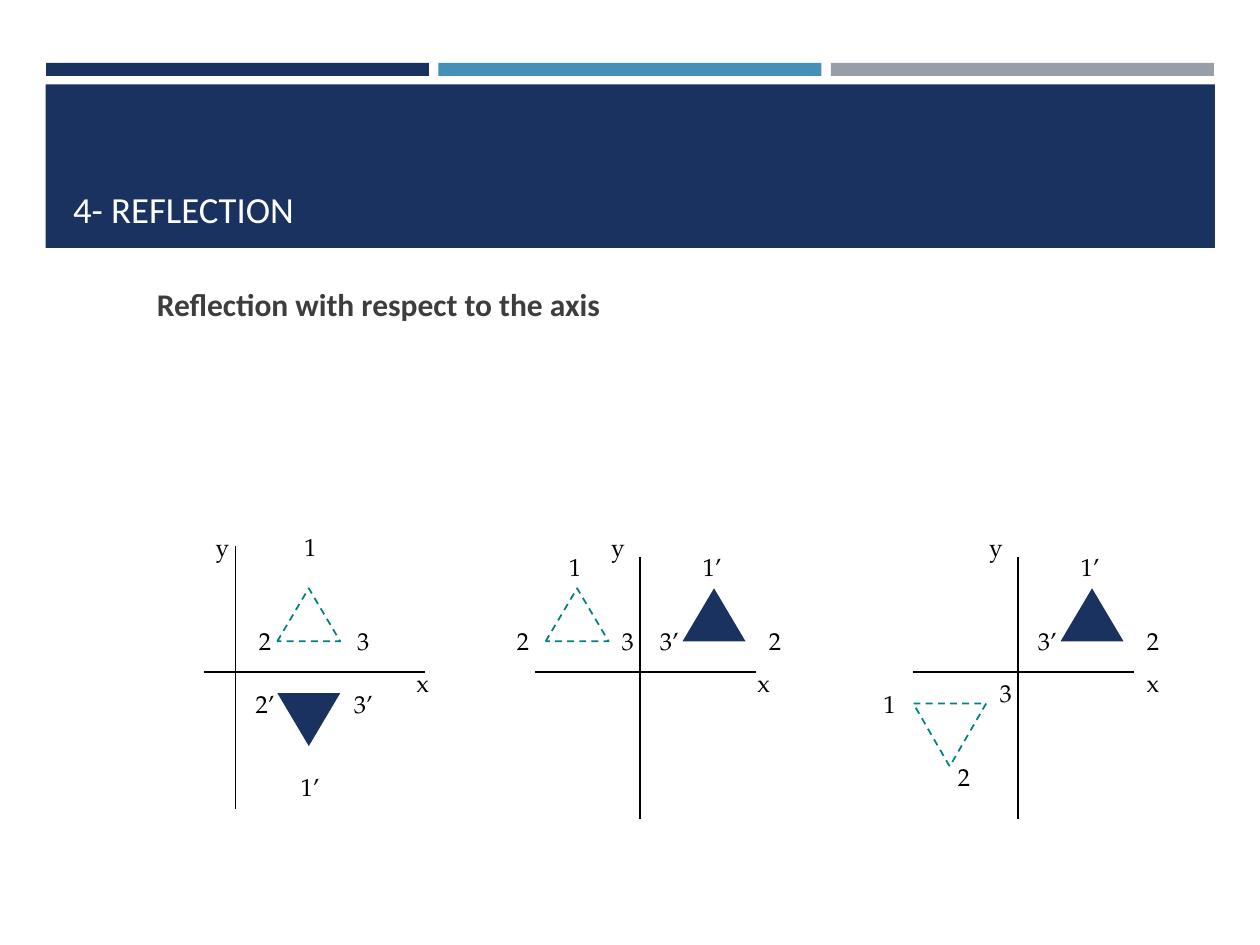
from lxml import etree
from pptx import Presentation
from pptx.dml.color import RGBColor
from pptx.enum.dml import MSO_LINE
from pptx.enum.shapes import MSO_CONNECTOR, MSO_SHAPE
from pptx.enum.text import MSO_ANCHOR, MSO_AUTO_SIZE, PP_ALIGN
from pptx.oxml.ns import qn
from pptx.util import Cm, Pt

NAVY = RGBColor(0x1A, 0x32, 0x60)
BLUE = RGBColor(0x45, 0x90, 0xB8)
GREY = RGBColor(0x96, 0x9F, 0xA7)
TEAL = RGBColor(0x00, 0x80, 0x80)
INK = RGBColor(0x3D, 0x3D, 0x3D)
BLACK = RGBColor(0, 0, 0)
WHITE = RGBColor(0xFF, 0xFF, 0xFF)

X_AXIS_TOP = 13.54
TRIANGLE = (1.27, 1.07)
LARGE_TRIANGLE = (1.47, 1.27)

# Solid triangle and its corner names, shared by the last two diagrams
RIGHT_IMAGE = (0.86, -1.68, TRIANGLE, False)
RIGHT_NAMES = [("1’", 0.86, -2.54), ("3’", 0, -1.04), ("2", 2.13, -1.04)]

# All places are in cm from the point where the two axes cross
DIAGRAMS = [
    # Reflection in the x axis
    dict(cross=4.75, x_span=(-0.64, 3.81), y_span=(-2.54, 2.77),
         before=(0.84, -1.68, TRIANGLE, False),
         after=(0.84, 0.43, TRIANGLE, True),
         names=[("x", 3.18, -0.2), ("y", -0.86, -2.95),
                ("1", 0.91, -2.95), ("3", 1.98, -1.04), ("2", 0, -1.04),
                ("1’", 0.91, 1.9), ("3’", 1.98, 0.23), ("2’", 0, 0.23)]),
    # Reflection in the y axis
    dict(cross=12.9, x_span=(-2.11, 2.34), y_span=(-2.31, 2.97),
         before=(-1.9, -1.68, TRIANGLE, False), after=RIGHT_IMAGE,
         names=[("x", 1.9, -0.2), ("y", -1.04, -2.95),
                ("1", -1.9, -2.54), ("3", -0.84, -1.04),
                ("2", -2.95, -1.04)] + RIGHT_NAMES),
    # Reflection in both axes
    dict(cross=20.52, x_span=(-2.11, 2.34), y_span=(-2.31, 2.97),
         before=(-2.11, 0.64, LARGE_TRIANGLE, True), after=RIGHT_IMAGE,
         names=[("x", 2.13, -0.2), ("y", -1.04, -2.95),
                ("3", -0.84, 0), ("1", -3.18, 0.23),
                ("2", -1.68, 1.7)] + RIGHT_NAMES),
]


def add_block(slide, left, top, width, height, color):
    block = slide.shapes.add_shape(MSO_SHAPE.RECTANGLE, Cm(left), Cm(top),
                                   Cm(width), Cm(height))
    block.shadow.inherit = False
    block.fill.solid()
    block.fill.fore_color.rgb = color
    block.line.fill.background()


def fill_placeholder(slide, holder, text, place, anchor, size, color, bold):
    slide.shapes._spTree.append(holder._element)  # in front of the banner
    holder.left, holder.top, holder.width, holder.height = map(Cm, place)
    frame = holder.text_frame
    frame.text = text
    frame.word_wrap = True
    frame.auto_size = MSO_AUTO_SIZE.NONE
    frame.vertical_anchor = anchor
    line = frame.paragraphs[0]
    properties = line._p.get_or_add_pPr()
    properties.set("marL", "0")
    properties.set("indent", "0")
    etree.SubElement(properties, qn("a:buNone"))
    line.alignment = PP_ALIGN.LEFT
    line.space_before = Pt(0)
    line.font.name = "Calibri"
    line.font.size = Pt(size)
    line.font.bold = bold
    line.font.color.rgb = color
    return frame


def add_axis(slide, x1, y1, x2, y2):
    axis = slide.shapes.add_connector(MSO_CONNECTOR.STRAIGHT,
                                      Cm(x1), Cm(y1), Cm(x2), Cm(y2))
    axis.line.color.rgb = BLACK
    axis.line.width = Pt(1)
    etree.SubElement(axis._element.spPr, qn("a:effectLst"))


def add_triangle(slide, cross, place, solid):
    dx, dy, (width, height), upside_down = place
    triangle = slide.shapes.add_shape(
        MSO_SHAPE.ISOSCELES_TRIANGLE, Cm(cross + dx), Cm(X_AXIS_TOP + dy),
        Cm(width), Cm(height))
    triangle.shadow.inherit = False
    if upside_down:
        triangle.rotation = 180
    if solid:
        triangle.fill.solid()
        triangle.fill.fore_color.rgb = NAVY
        triangle.line.fill.background()
    else:
        triangle.fill.background()
        triangle.line.color.rgb = TEAL
        triangle.line.width = Pt(1)
        triangle.line.dash_style = MSO_LINE.DASH


def add_name(slide, text, left, top):
    frame = slide.shapes.add_textbox(Cm(left), Cm(top),
                                     Cm(1.19), Cm(0.85)).text_frame
    frame.word_wrap = True
    frame.auto_size = MSO_AUTO_SIZE.SHAPE_TO_FIT_TEXT
    frame.vertical_anchor = MSO_ANCHOR.MIDDLE
    frame.text = text
    line = frame.paragraphs[0]
    line.alignment = PP_ALIGN.CENTER
    line.font.name = "TeX Gyre Pagella"
    line.font.size = Pt(14)
    line.font.color.rgb = BLACK


def add_diagram(slide, cross, x_span, y_span, before, after, names):
    add_axis(slide, cross + x_span[0], X_AXIS_TOP,
             cross + x_span[1], X_AXIS_TOP)
    add_axis(slide, cross, X_AXIS_TOP + y_span[1],
             cross, X_AXIS_TOP + y_span[0])
    add_triangle(slide, cross, before, solid=False)
    add_triangle(slide, cross, after, solid=True)
    for text, dx, dy in names:
        add_name(slide, text, cross + dx, X_AXIS_TOP + dy)


def main():
    deck = Presentation()
    deck.slide_width, deck.slide_height = Cm(25.4), Cm(19.05)
    slide = deck.slides.add_slide(deck.slide_layouts[1])

    # Banner with three strips above it
    for column, color in enumerate((NAVY, BLUE, GREY)):
        add_block(slide, 0.93 + 7.91 * column, 1.27, 7.72, 0.26, color)
    add_block(slide, 0.92, 1.7, 23.57, 3.3, NAVY)

    # Title and subject
    fill_placeholder(slide, slide.shapes.title, "4- REFLECTION",
                     (1.22, 1.96, 22.99, 2.82), MSO_ANCHOR.BOTTOM,
                     21, WHITE, False)
    subject = fill_placeholder(slide, slide.placeholders[1],
                               "Reflection with respect to the axis",
                               (1.9, 4.24, 22.23, 13.13), MSO_ANCHOR.TOP,
                               18, INK, True)
    subject.margin_left, subject.margin_top = Cm(1.26), Cm(1.5)

    # Three reflections
    for diagram in DIAGRAMS:
        add_diagram(slide, **diagram)

    deck.save("out.pptx")


if __name__ == "__main__":
    main()
